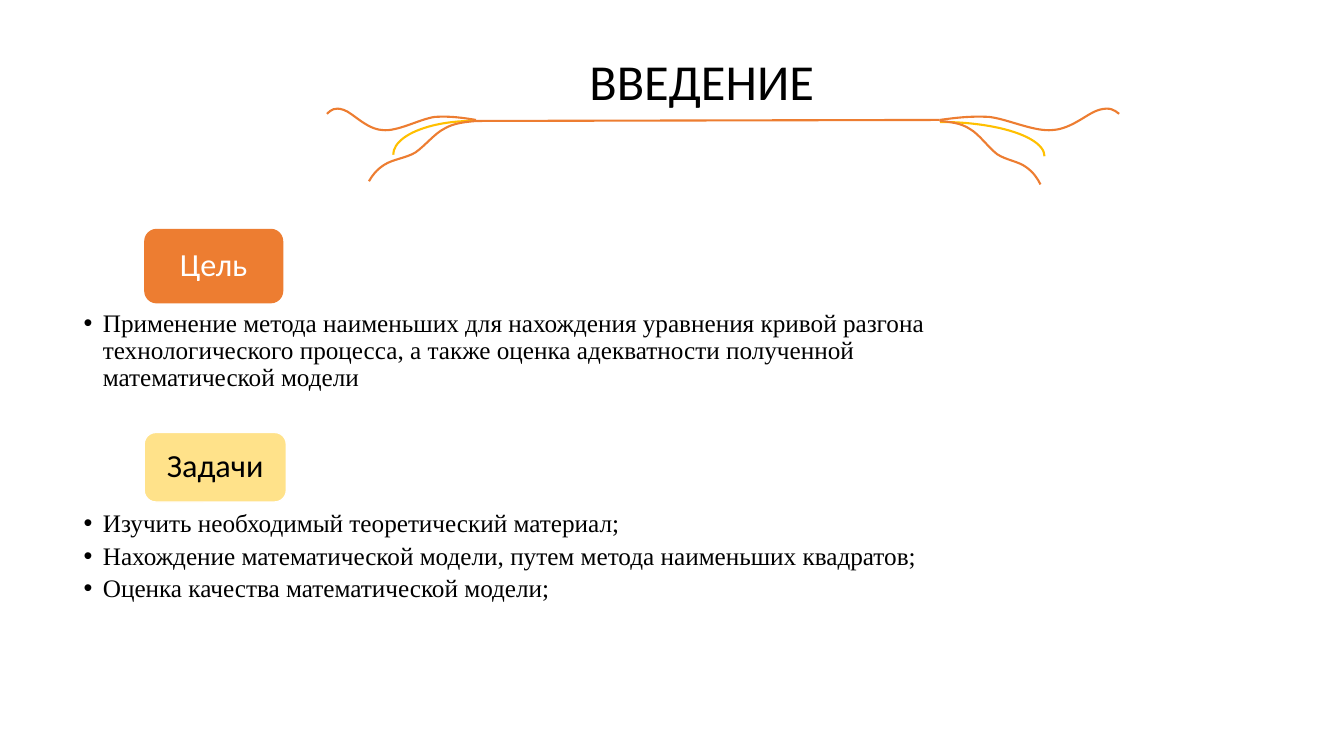
"""Builds the introduction slide with its goal, its tasks and a vine ornament."""
from dataclasses import dataclass

from lxml.etree import SubElement
from pptx import Presentation
from pptx.dml.color import RGBColor
from pptx.enum.shapes import MSO_CONNECTOR, MSO_SHAPE
from pptx.enum.text import MSO_ANCHOR, MSO_AUTO_SIZE, PP_ALIGN
from pptx.oxml.ns import qn
from pptx.util import Inches, Pt


@dataclass(frozen=True)
class Theme:
    orange: str = "ED7D31"
    gold: str = "FFC000"
    yellow: str = "FFD966"
    black: str = "000000"
    white: str = "FFFFFF"
    heading_font: str = "Calibri"
    body_font: str = "Times New Roman"
    bullet_font: str = "Arial"
    title_size: float = 36
    label_size: float = 23
    body_size: float = 18
    stroke: float = 1.5


THEME = Theme()
GOAL = [
    "Применение метода наименьших для нахождения уравнения кривой разгона "
    "технологического процесса, а также оценка адекватности полученной "
    "математической модели",
]
TASKS = [
    "Изучить необходимый теоретический материал;",
    "Нахождение математической модели, путем метода наименьших квадратов;",
    "Оценка качества математической модели;",
]
UPPER_VINE = [
    (0, 0), (0.15, -0.02), (0.3, -0.04), (0.49, -0.03), (0.67, -0.01),
    (0.94, 0.12), (1.12, 0.1), (1.31, 0.09), (1.47, -0.07), (1.58, -0.1),
    (1.69, -0.13), (1.73, -0.1), (1.78, -0.06),
]
LOWER_VINE = [
    (0, 0), (0.1, 0.01), (0.21, 0.02), (0.3, 0.08), (0.39, 0.13),
    (0.48, 0.26), (0.57, 0.33), (0.66, 0.39), (0.78, 0.4), (0.86, 0.46),
    (0.93, 0.51), (0.97, 0.57), (1, 0.63),
]


def rgb(color):
    """Turn a hex string into a colour."""
    return RGBColor.from_string(color)


def write(tf, text, first=True, size=THEME.body_size, font=THEME.body_font,
          color=THEME.black, align=PP_ALIGN.LEFT, spacing=0.9, before=0,
          after=0, level=0, margin=0, indent=0, bullet=None):
    """Write one formatted paragraph into a text frame."""
    p = tf.paragraphs[0] if first else tf.add_paragraph()
    p.alignment, p.line_spacing, p.level = align, spacing, level
    p.space_before, p.space_after = Pt(before), Pt(after)
    pPr = p._p.get_or_add_pPr()
    pPr.set("marL", str(Inches(margin)))
    pPr.set("indent", str(Inches(indent)))
    if bullet:
        SubElement(pPr, qn("a:buFont")).set("typeface", THEME.bullet_font)
        SubElement(pPr, qn("a:buChar")).set("char", bullet)
    r = p.add_run()
    r.text = text
    r.font.size, r.font.name = Pt(size), font
    r.font.color.rgb = rgb(color)


def outline(sp, color, width=THEME.stroke):
    """Give a shape or connector its line."""
    sp.line.color.rgb = rgb(color)
    sp.line.width = Pt(width)


def stroke(sp, color):
    """Leave a shape as an unfilled, unshadowed outline."""
    sp.shadow.inherit = False
    sp.fill.background()
    outline(sp, color)


def add_title(slide, text):
    """Add the slide title."""
    box = slide.shapes.add_textbox(
        Inches(4.99), Inches(0.3), Inches(3.45), Inches(0.78))
    tf = box.text_frame
    tf.word_wrap = False
    tf.auto_size = MSO_AUTO_SIZE.SHAPE_TO_FIT_TEXT
    write(tf, text, size=THEME.title_size, font=THEME.heading_font,
          align=PP_ALIGN.CENTER, spacing=1.25, before=8, after=8, indent=0.49)


def add_label(slide, text, top, width, height, fill, color, alpha=None, border=None):
    """Add a rounded section label."""
    sp = slide.shapes.add_shape(
        MSO_SHAPE.ROUNDED_RECTANGLE, Inches(1.43), Inches(top),
        Inches(width), Inches(height))
    sp.shadow.inherit = False
    sp.fill.solid()
    sp.fill.fore_color.rgb = rgb(fill)
    if alpha:
        tint = sp.element.spPr.find(qn("a:solidFill")).find(qn("a:srgbClr"))
        SubElement(tint, qn("a:alpha")).set("val", str(alpha * 1000))
    if border:
        outline(sp, border, 1)
    else:
        sp.line.fill.background()
    tf = sp.text_frame
    tf.word_wrap = True
    tf.vertical_anchor = MSO_ANCHOR.MIDDLE
    write(tf, text, size=THEME.label_size, font=THEME.heading_font,
          color=color, align=PP_ALIGN.CENTER)


def add_bullets(slide, items, top, height):
    """Add a bulleted list."""
    box = slide.shapes.add_textbox(
        Inches(0.55), Inches(top), Inches(8.89), Inches(height))
    tf = box.text_frame
    tf.word_wrap = True
    tf.margin_left, tf.margin_right = Inches(0.28), Inches(0.18)
    tf.margin_top = tf.margin_bottom = Inches(0.03)
    for i, item in enumerate(items):
        write(tf, item, first=i == 0, after=3.6, level=1, margin=0.19,
              indent=-0.19, bullet="•")


def bend(sp):
    """Join each three straight segments of a freeform into one cubic curve."""
    for outline_path in sp.element.spPr.iter(qn("a:path")):
        segments = outline_path.findall(qn("a:lnTo"))
        for i in range(0, len(segments), 3):
            curve = SubElement(outline_path, qn("a:cubicBezTo"))
            for segment in segments[i:i + 3]:
                curve.append(segment.find(qn("a:pt")))
                outline_path.remove(segment)


def add_vine(slide, points, x, y, sx=1, sy=1):
    """Draw a curved vine from a start point, scaled or mirrored."""
    builder = slide.shapes.build_freeform(Inches(x), Inches(y))
    builder.add_line_segments(
        [(Inches(x + dx * sx), Inches(y + dy * sy)) for dx, dy in points[1:]],
        close=False)
    sp = builder.convert_to_shape()
    bend(sp)
    stroke(sp, THEME.orange)


def add_arc(slide, left, top, width, height, flip=False):
    """Draw a quarter arc."""
    sp = slide.shapes.add_shape(
        MSO_SHAPE.ARC, Inches(left), Inches(top), Inches(width), Inches(height))
    stroke(sp, THEME.gold)
    if flip:
        sp.element.spPr.xfrm.set("flipH", "1")


def add_rule(slide, x1, y1, x2, y2):
    """Draw the straight rule between the vines."""
    line = slide.shapes.add_connector(
        MSO_CONNECTOR.STRAIGHT, Inches(x1), Inches(y1), Inches(x2), Inches(y2))
    outline(line, THEME.orange)
    SubElement(line._element.spPr, qn("a:effectLst"))


def main():
    """Build and save the slide."""
    prs = Presentation()
    prs.slide_width, prs.slide_height = Inches(13.33), Inches(7.5)
    slide = prs.slides.add_slide(prs.slide_layouts[6])
    add_title(slide, "ВВЕДЕНИЕ")
    add_label(slide, "Цель", 2.27, 1.38, 0.74, THEME.orange, THEME.white)
    add_bullets(slide, GOAL, 3.05, 1.31)
    add_label(slide, "Задачи", 4.29, 1.41, 0.69, THEME.yellow, THEME.black,
              alpha=76, border=THEME.white)
    add_bullets(slide, TASKS, 5.04, 1.07)
    add_arc(slide, 8.29, 1.21, 2.07, 0.68)
    add_vine(slide, LOWER_VINE, 9.32, 1.2)
    add_vine(slide, UPPER_VINE, 9.32, 1.19)
    add_rule(slide, 9.32, 1.19, 4.73, 1.2)
    add_vine(slide, UPPER_VINE, 4.72, 1.19, sx=-0.83)
    add_arc(slide, 3.9, 1.2, 1.58, 0.67, flip=True)
    add_vine(slide, LOWER_VINE, 4.73, 1.2, sx=-1.07, sy=0.95)
    prs.save("out.pptx")


if __name__ == "__main__":
    main()
